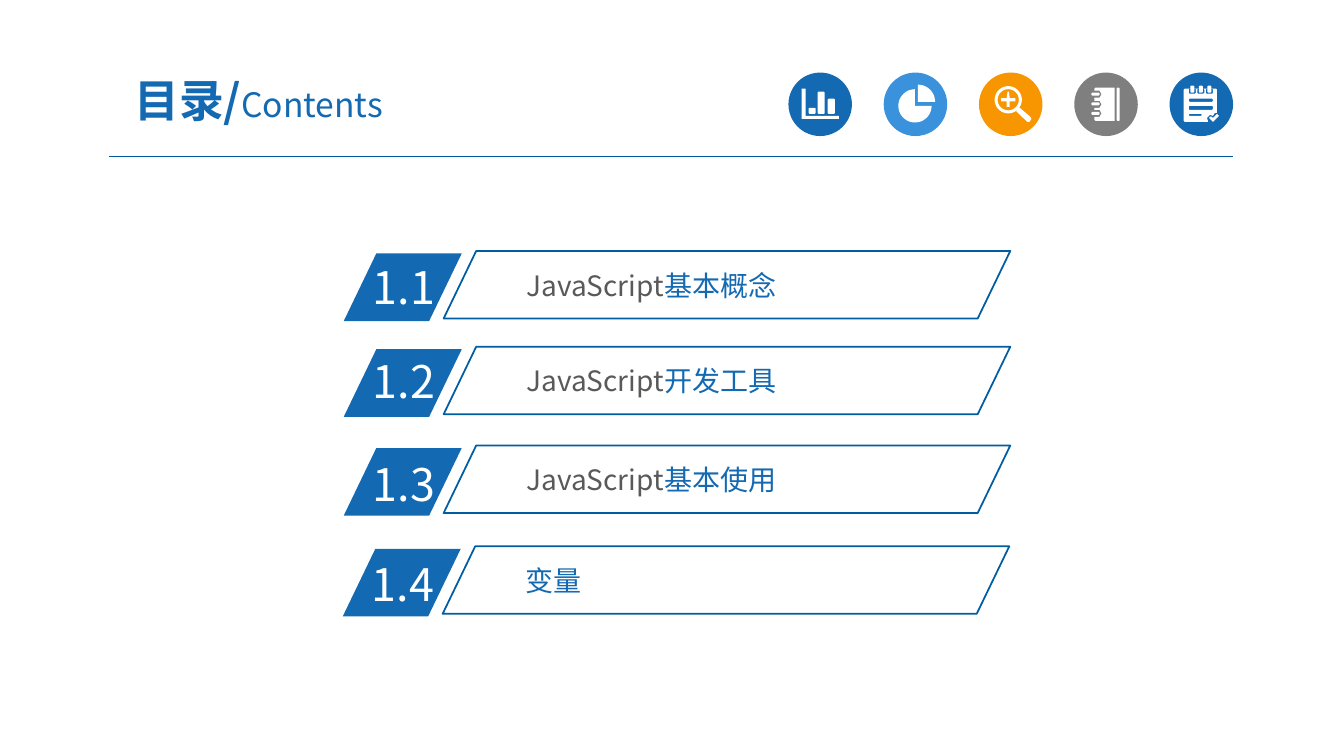
from math import cos, sin, radians
from pptx import Presentation
from pptx.dml.color import RGBColor
from pptx.enum.shapes import MSO_CONNECTOR, MSO_SHAPE
from pptx.enum.text import MSO_ANCHOR, PP_ALIGN
from pptx.oxml.ns import qn
from pptx.util import Inches, Pt
from lxml.etree import SubElement


def box(x, y, w, h, cut=0.8):
    r, b = x + w, y + h
    return [(x + cut, y), (r - cut, y), (r, y + cut), (r, b - cut),
            (r - cut, b), (x + cut, b), (x, b - cut), (x, y + cut)]


def arc(x, y, rad, start=0, end=360):
    return [(x + rad * cos(radians(a)), y + rad * sin(radians(a)))
            for a in range(start, end + 1, 6)]


FACE = "Noto Sans CJK SC"
BLUE, WHITE, GREY = "1369B2", "FFFFFF", "595959"
TITLE = [("目录/", 32, BLUE, True), ("Contents", 24, BLUE, False)]
ROWS = [
    ("1.1", "JavaScript", "基本概念", 4.4, 2.49, 2.53),
    ("1.2", "JavaScript", "开发工具", 4.4, 3.44, 3.46),
    ("1.3", "JavaScript", "基本使用", 4.4, 4.42, 4.48),
    ("1.4", "", "变量", 4.39, 5.42, 5.47),
]
CHART = [
    [(13, 16), (17, 16), (17, 43), (50, 43), (50, 46), (13, 46)],
    box(20, 35, 7, 6), box(29, 19, 7, 22), box(39, 26, 7, 15),
]
PIE = [
    [(34, 29)] + arc(34, 29, 17, -90, 0),
    [(31, 33)] + arc(31, 33, 16.5, 0, 270),
]
LENS = [
    arc(29, 27, 13.5), arc(29, 27, 10.5),
    box(27.5, 19, 3, 15) [:2] + [(30.5, 25.5), (36, 25.5), (36, 28.5),
     (30.5, 28.5), (30.5, 34), (27.5, 34), (27.5, 28.5), (22, 28.5),
     (22, 25.5), (27.5, 25.5)],
    [(37, 38.5), (40.5, 35), (51, 44), (52, 46), (50, 49), (48, 49)],
]
NOTCH = [p for y in (18, 28, 37)
         for p in [(20, y), (25, y), (27, y + 3.5), (25, y + 7), (20, y + 7)]]
BOOK = [
    [(21, 15), (40, 15), (40, 48), (21, 48), (20, 47)] + NOTCH[::-1] + [(20, 16)],
    box(42, 15, 3, 33),
] + [box(17, y, 8, 3) for y in (20, 29.5, 39)]
PAD = [
    [(14, 17), (15, 16), (46, 16), (47, 17), (47, 40), (45, 40), (43, 43),
     (40, 42), (37, 45), (38, 48), (38, 49), (15, 49), (14, 48)],
    box(19, 26, 24, 3), box(19, 33, 24, 4), box(19, 41, 13, 2),
    [(39, 45), (41, 43.5), (43, 45), (47, 41), (49, 43), (43, 49)],
] + [part for x in (19, 27.5, 36)
     for part in (box(x, 16, 7, 5), box(x + 1.5, 13, 4, 7))]
ICONS = [(BLUE, CHART), ("3992DB", PIE), ("F79600", LENS),
         ("7F7F7F", BOOK), (BLUE, PAD)]

deck = Presentation()
deck.slide_width, deck.slide_height = Inches(13.33), Inches(7.5)
slide = deck.slides.add_slide(deck.slide_layouts[5])
shapes = slide.shapes


def tint(code):
    return RGBColor.from_string(code)


def dress(shape, fill=None, edge=None):
    shape.shadow.inherit = False
    if fill:
        shape.fill.solid()
        shape.fill.fore_color.rgb = tint(fill)
    else:
        shape.fill.background()
    if edge:
        shape.line.color.rgb = tint(edge)
        shape.line.width = Pt(1.25)
    else:
        shape.line.fill.background()


def preset(kind, x, y, w, h, fill=None, edge=None):
    shape = shapes.add_shape(kind, *map(Inches, (x, y, w, h)))
    dress(shape, fill, edge)
    return shape


def slant(x, y, w, fill=None, edge=None):
    preset(MSO_SHAPE.PARALLELOGRAM, x, y, w, 0.67, fill, edge).adjustments[0] = 0.482


def write(frame, runs, side, edge):
    frame.word_wrap = True
    frame.margin_left = frame.margin_right = Inches(side)
    frame.margin_top = frame.margin_bottom = Inches(edge)
    for text, size, code, bold in runs:
        run = frame.paragraphs[0].add_run()
        run.text = text
        font = run.font
        font.size, font.bold, font.name = Pt(size), bold, FACE
        font.color.rgb = tint(code)
        SubElement(run._r.get_or_add_rPr(), qn("a:ea")).set("typeface", FACE)


def label(x, y, w, h, runs, side=0.1, edge=0.05):
    area = shapes.add_textbox(*map(Inches, (x, y, w, h)))
    write(area.text_frame, runs, side, edge)


def glyph(x, y, parts):
    parts = [[(10 * a, 10 * b) for a, b in part] for part in parts]
    pen = shapes.build_freeform(*parts[0][0], scale=914.4)
    for part in parts:
        if part is not parts[0]:
            pen.move_to(*part[0])
        pen.add_line_segments(part[1:], close=True)
    dress(pen.convert_to_shape(Inches(x), Inches(y)), WHITE)


rule = shapes.add_connector(MSO_CONNECTOR.STRAIGHT, Inches(1.08), Inches(1.55),
                            Inches(12.23), Inches(1.55))
rule.line.color.rgb = tint("005B9E")
rule.line.width = Pt(0.75)
SubElement(rule._element.spPr, qn("a:effectLst"))

for i, (code, parts) in enumerate(ICONS):
    x = 7.82 + 0.945 * i
    preset(MSO_SHAPE.OVAL, x, 0.72, 0.63, 0.63, code)
    glyph(x, 0.72, parts)

title = shapes.title
title.left, title.top, title.width, title.height = map(Inches, (0.92, 0.63, 3.29, 0.72))
write(title.text_frame, TITLE, 0.13, 0.07)
title.text_frame.vertical_anchor = MSO_ANCHOR.MIDDLE
title.text_frame.paragraphs[0].alignment = PP_ALIGN.CENTER

for num, lead, topic, x, y, top in ROWS:
    slant(x - 0.99, y + 0.025, 1.17, fill=BLUE)
    label(x - 0.8, top, 1.12, 0.64, [(num, 32, WHITE, False)])
    runs = [(lead, 20, GREY, False), (topic, 20, BLUE, False)]
    label(x + 0.75, y + 0.13, 4.12, 0.41, [r for r in runs if r[0]], 0.07, 0.04)
    slant(x, y, 5.62, edge="005DA2")

deck.save("out.pptx")
